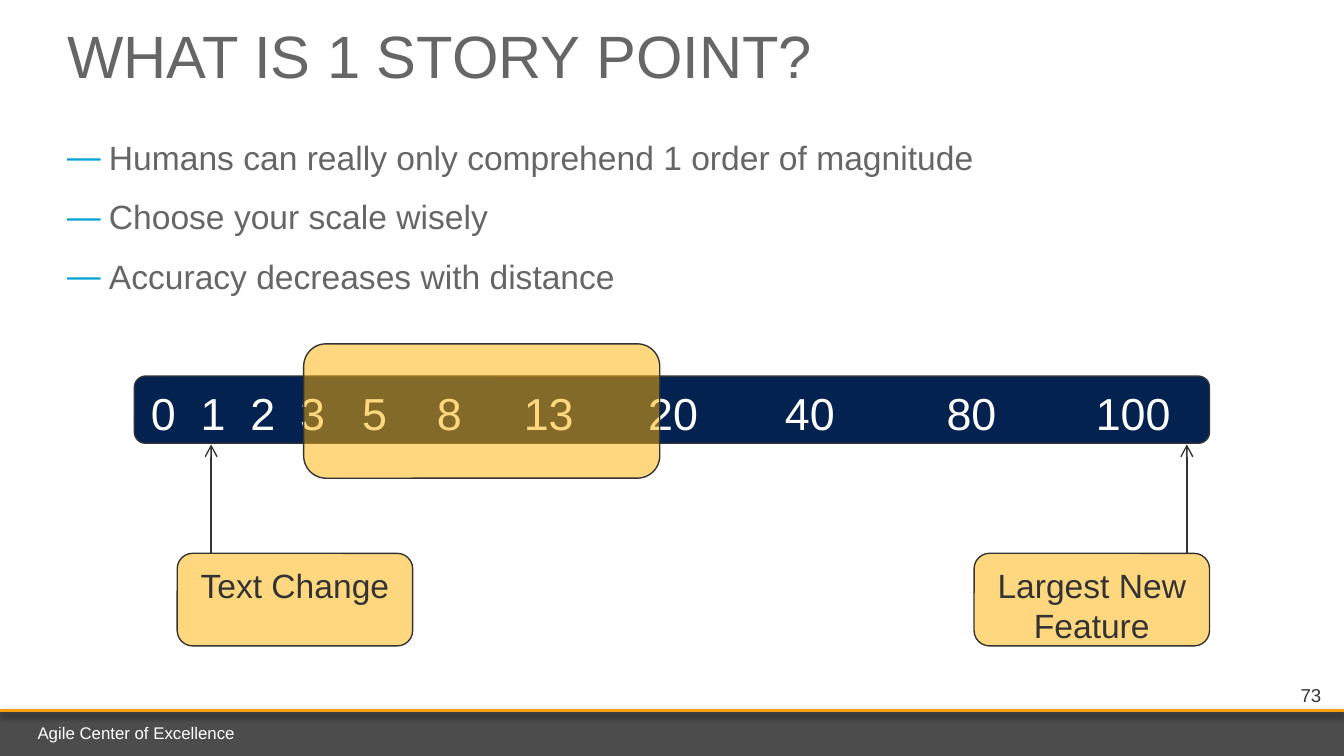
from collections import namedtuple
from dataclasses import dataclass
from pptx import Presentation
from pptx import util as u
from pptx.dml.color import RGBColor
from pptx.enum import shapes, text
from pptx.oxml import ns
from lxml import etree

Cm, Pt = u.Cm, u.Pt
Box = namedtuple("Box", "left top width height")  # centimetres


@dataclass(frozen=True)
class Theme:
    font: str = "Arial"
    grey: str = "666666"
    ink: str = "333333"
    white: str = "FFFFFF"
    navy: str = "03224F"
    amber: str = "FFB104"
    orange: str = "F79E14"
    cyan: str = "00A2D5"
    band: str = "4C4C4C"
    title: int = 32
    scale: int = 24
    body: int = 18
    number: int = 10
    footer: int = 9
    outline: float = 0.75


THEME = Theme()


def rgb(color):
    return RGBColor.from_string(color)


def add_xml(parent, tag, **attributes):
    child = etree.SubElement(parent, ns.qn(tag))
    for name, value in attributes.items():
        child.set(name, str(value))
    return child


def write(frame, lines, size, color, align=text.PP_ALIGN.LEFT):
    frame.text = "\n".join(lines)
    for paragraph in frame.paragraphs:
        paragraph.alignment = align
        for run in paragraph.runs:
            run.font.name, run.font.size = THEME.font, Pt(size)
            run.font.color.rgb = rgb(color)


def add_text(slide, box, lines, size, color, anchor=text.MSO_ANCHOR.TOP,
             align=text.PP_ALIGN.LEFT, wrap=True):
    frame = slide.shapes.add_textbox(*map(Cm, box)).text_frame
    frame.word_wrap, frame.vertical_anchor = wrap, anchor
    write(frame, lines, size, color, align)
    return frame


def add_panel(slide, box, fill, preset="ROUNDED_RECTANGLE", alpha=None, outlined=True):
    panel = slide.shapes.add_shape(shapes.MSO_SHAPE[preset], *map(Cm, box))
    panel.shadow.inherit = False
    panel.fill.solid()
    panel.fill.fore_color.rgb = rgb(fill)
    if alpha:
        color = next(panel.fill._xPr.iter(ns.qn("a:srgbClr")))
        add_xml(color, "a:alpha", val=alpha * 1000)
    if outlined:
        panel.line.color.rgb, panel.line.width = rgb(THEME.ink), Pt(THEME.outline)
    else:
        panel.line.fill.background()
    panel.text_frame.vertical_anchor = text.MSO_ANCHOR.TOP
    return panel


def add_line(slide, start, end, color, width):
    line = slide.shapes.add_connector(
        shapes.MSO_CONNECTOR.STRAIGHT, *map(Cm, start + end))
    line.line.color.rgb, line.line.width = rgb(color), Pt(width)
    effects = add_xml(line._element.spPr, "a:effectLst")
    return line, effects


def add_footer(slide, box):
    add_panel(slide, box, THEME.band, "RECTANGLE", outlined=False)
    # Department name
    name = add_text(slide, Box(box.left + 0.46, box.top - 0.07, 11.58, 0.84),
                    ["Agile Center of Excellence"], THEME.footer, THEME.white,
                    text.MSO_ANCHOR.MIDDLE)
    name.paragraphs[0].line_spacing = 1.2
    # Page number
    add_text(slide, Box(box.left + 24.28, box.top - 0.66, 0.94, 0.69), ["73"],
             THEME.number, THEME.ink, align=text.PP_ALIGN.RIGHT, wrap=False)
    # Rule with a soft shadow below
    rule_y = box.top - 0.03
    _, effects = add_line(slide, (box.left, rule_y), (box.left + box.width, rule_y),
                          THEME.orange, 2)
    shadow = add_xml(effects, "a:outerShdw", blurRad=Pt(3.1), dist=Pt(1.6),
                     dir=90 * 60000, rotWithShape=0)
    add_xml(add_xml(shadow, "a:srgbClr", val="000000"), "a:alpha", val=38000)


def add_title(slide, box):
    title = add_text(slide, box, ["WHAT IS 1 STORY POINT?"], THEME.title, THEME.grey,
                     text.MSO_ANCHOR.MIDDLE)
    title.margin_left = Cm(1.27)


def add_points(slide, box):
    points = add_text(slide, box, [
        "Humans can really only comprehend 1 order of magnitude",
        "Choose your scale wisely",
        "Accuracy decreases with distance",
    ], THEME.body, THEME.grey)
    for point in points.paragraphs:
        point.line_spacing = 1.2
        point.space_before = point.space_after = Pt(3)
        properties = point._p.get_or_add_pPr()
        properties.set("marL", str(Cm(0.79)))
        properties.set("indent", str(-Cm(0.79)))
        add_xml(add_xml(properties, "a:buClr"), "a:srgbClr", val=THEME.cyan)
        add_xml(properties, "a:buFont", typeface=THEME.font)
        add_xml(properties, "a:buChar", char="―")


def add_scale_bar(slide, box):
    values = ["0", "1", "2", "3", "5", "8", "13", "20", "40", "80", "100"]
    gaps = [2, 2, 2, 3, 4, 5, 6, 7, 9, 8]  # in half digits
    digit = 0.47
    bar = add_panel(slide, box, THEME.navy)
    write(bar.text_frame, ["\t".join(values)], THEME.scale, THEME.white)
    stops = add_xml(bar.text_frame.paragraphs[0]._p.get_or_add_pPr(), "a:tabLst")
    position = 0
    for value, gap in zip(values, gaps):
        position += (len(value) + gap / 2) * digit
        add_xml(stops, "a:tab", pos=Cm(position), algn="l")


def add_callout(slide, box, label):
    callout = add_panel(slide, box, THEME.amber, alpha=51)
    write(callout.text_frame, [label], THEME.body, THEME.ink, text.PP_ALIGN.CENTER)


def add_story_scale(slide, box):
    add_scale_bar(slide, Box(box.left, box.top + 0.61, box.width, 1.27))

    # Example stories, each pointing up at its place on the bar
    callout_top, bar_bottom = box.top + 3.96, box.top + 1.9
    examples = [("Text Change", 0.81, 1.45), ("Largest New Feature", 15.87, 19.89)]
    for label, offset, _ in examples:
        add_callout(slide, Box(box.left + offset, callout_top, 4.45, 1.75), label)
    for _, _, offset in examples:
        x = box.left + offset
        arrow, _ = add_line(slide, (x, callout_top), (x, bar_bottom),
                            THEME.ink, THEME.outline)
        add_xml(arrow.line._get_or_add_ln(), "a:tailEnd", type="arrow")

    # Highlighted range
    add_panel(slide, Box(box.left + 3.2, box.top, 6.73, 2.54), THEME.amber, alpha=51)


def main():
    deck = Presentation()
    deck.slide_width, deck.slide_height = Cm(25.4), Cm(14.29)
    slide = deck.slides.add_slide(deck.slide_layouts[6])
    add_footer(slide, Box(0, 13.46, 25.4, 0.86))
    add_points(slide, Box(1.02, 2.31, 23.62, 10.87))
    add_title(slide, Box(0, 0.18, 24.69, 1.7))
    add_story_scale(slide, Box(2.54, 6.5, 20.32, 5.71))
    deck.save("out.pptx")


if __name__ == "__main__":
    main()
